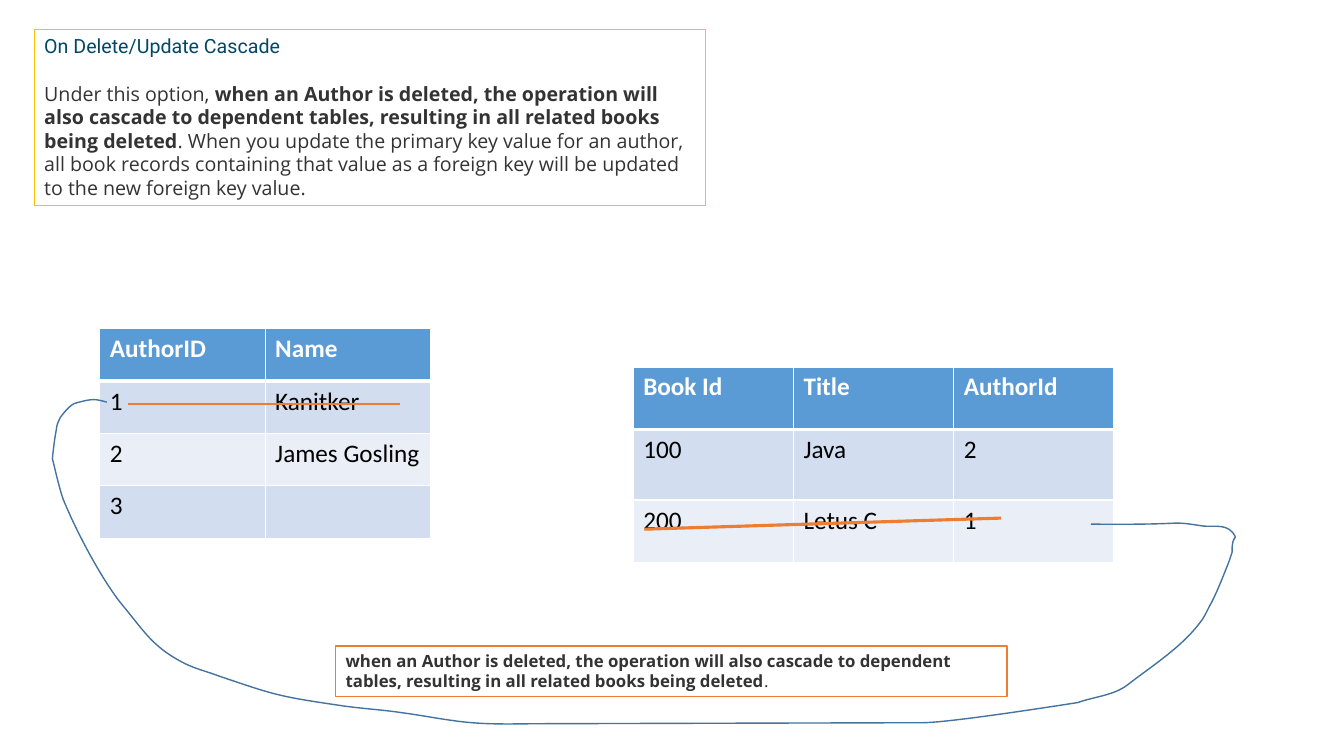
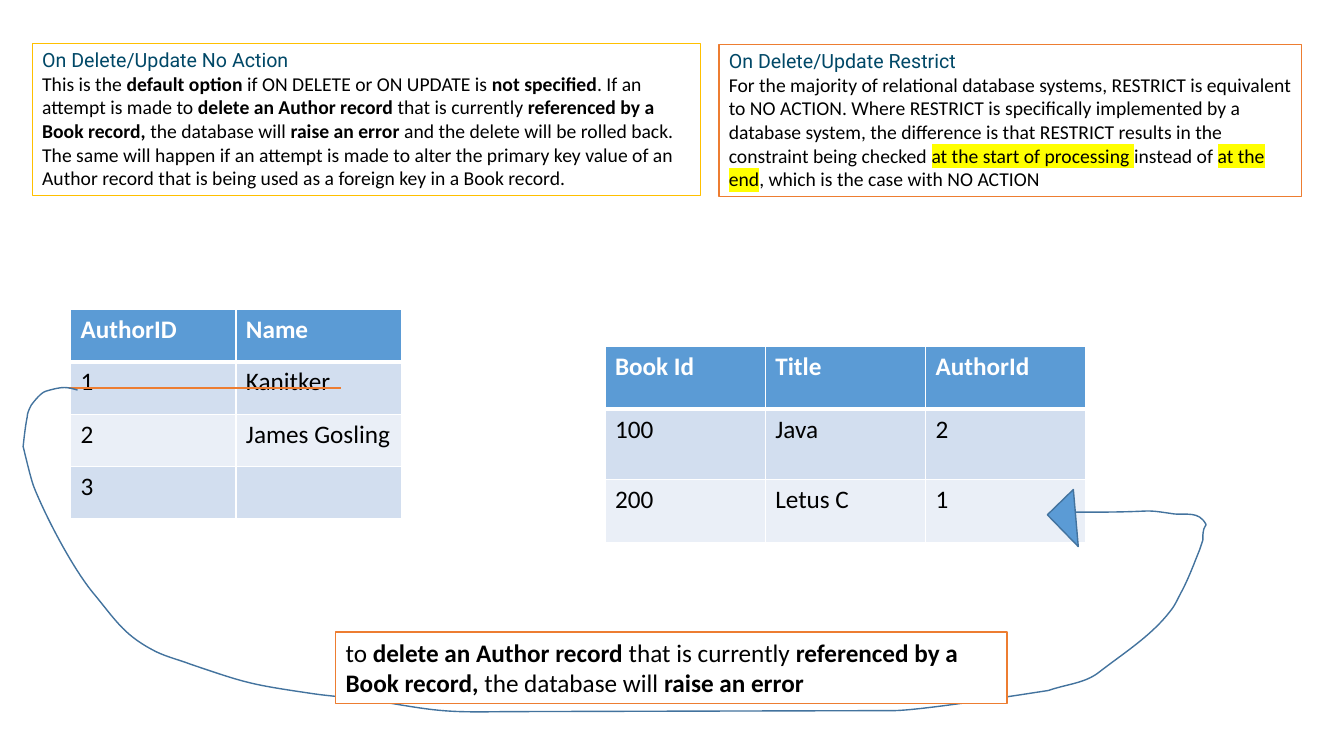
from lxml import etree
from pptx import Presentation
from pptx.dml.color import RGBColor
from pptx.enum.shapes import MSO_CONNECTOR, MSO_SHAPE
from pptx.enum.text import MSO_ANCHOR, MSO_AUTO_SIZE
from pptx.oxml.ns import qn
from pptx.util import Emu, Pt

STRAIGHT = MSO_CONNECTOR.STRAIGHT
TRIANGLE = MSO_SHAPE.RIGHT_TRIANGLE
TOP = MSO_ANCHOR.TOP
GROW = MSO_AUTO_SIZE.SHAPE_TO_FIT_TEXT

PX = 9144
WHITE, BLACK, GOLD, ORANGE = "FFFFFF", "000000", "FFC000", "ED7D31"
BLUE, DARK_BLUE, YELLOW = "5B9BD5", "43739E", "FFFF00"
BANDS = ("D2DEEF", "EAEFF7")

HEADING = {"name": "Roboto", "size": Pt(14), "color": "004867"}
OPEN_SANS = {"name": "Open Sans", "size": Pt(14), "color": "333333"}
OPEN_SANS_SMALL = {**OPEN_SANS, "size": Pt(12)}
CALIBRI = {"name": "Calibri", "size": Pt(14), "color": BLACK}
CALIBRI_LARGE = {**CALIBRI, "size": Pt(18)}
TABLE_HEAD = {**CALIBRI_LARGE, "color": WHITE, "bold": True}
BOLD = {"bold": True}
MARKED = {"highlight": YELLOW}

AUTHORS = (("AuthorID", "Name"), ("1", "Kanitker"), ("2", "James Gosling"), ("3", ""))
BOOKS = (("Book Id", "Title", "AuthorId"), ("100", "Java", "2"), ("200", "Letus C", "1"))

LINK_START = (54, 2)
LINK_CURVES = (
    (43, -1, 40, -2, 23, 3), (18, 4, 11, 13, 8, 17), (6, 21, 4, 25, 4, 29),
    (2, 38, 0, 58, 0, 58), (2, 66, 8, 92, 11, 99), (24, 131, 50, 180, 70, 204),
    (90, 228, 99, 244, 127, 259), (139, 266, 153, 269, 166, 274),
    (222, 293, 225, 294, 286, 303), (306, 306, 326, 307, 346, 310),
    (369, 313, 392, 318, 416, 320), (440, 322, 464, 321, 488, 321),
    (488, 321, 863, 320, 863, 320), (888, 320, 985, 305, 1017, 300),
    (1034, 294, 1053, 293, 1067, 282), (1090, 264, 1119, 246, 1138, 221),
    (1143, 215, 1146, 207, 1150, 200), (1157, 186, 1161, 175, 1167, 160),
    (1168, 157, 1169, 154, 1170, 151), (1170, 147, 1170, 144, 1171, 140),
    (1171, 138, 1174, 136, 1173, 135), (1166, 122, 1154, 126, 1142, 125),
    (1101, 119, 1138, 124, 1030, 123),
)


def px(*values):
    """Turn pixel lengths into EMU."""
    return [Emu(v * PX) for v in values]


def rgb(color):
    """Turn a hex string into a colour."""
    return RGBColor.from_string(color)


def paint(shape, fill, line):
    """Give a shape its fill and a one-point outline."""
    if fill:
        shape.fill.solid()
        shape.fill.fore_color.rgb = rgb(fill)
    else:
        shape.fill.background()
    shape.line.color.rgb = rgb(line)
    shape.line.width = Pt(1)


def add_solid(parent, color):
    """Append a solid fill element."""
    fill = etree.SubElement(parent, qn("a:solidFill"))
    etree.SubElement(fill, qn("a:srgbClr"), val=color)


def add_run(p, text, look):
    """Add a run with the given format."""
    r = p.add_run()
    r.text = text
    for key, value in look.items():
        if key == "color":
            r.font.color.rgb = rgb(value)
        elif key != "highlight":
            setattr(r.font, key, value)
    if "highlight" in look:
        mark = etree.Element(qn("a:highlight"))
        etree.SubElement(mark, qn("a:srgbClr"), val=look["highlight"])
        r.font._element.find(qn("a:solidFill")).addnext(mark)


def text_panel(s, box, border, paragraphs, gap=0):
    """Place an outlined panel; text between asterisks takes the emphasis."""
    panel = s.shapes.add_textbox(*px(*box))
    paint(panel, WHITE, border)
    tf = panel.text_frame
    tf.word_wrap = True
    tf.auto_size = GROW
    tf.vertical_anchor = TOP
    for i, (text, look, emphasis) in enumerate(paragraphs):
        p = tf.add_paragraph() if i else tf.paragraphs[0]
        if i and gap:
            p.space_before = Pt(gap)
        for j, part in enumerate(text.split("*")):
            if part:
                add_run(p, part, {**look, **emphasis} if j % 2 else look)


def style_cell(cell, text, row):
    """Fill, border and label one table cell."""
    cell.fill.solid()
    cell.fill.fore_color.rgb = rgb(BANDS[(row - 1) % 2] if row else BLUE)
    tcPr = cell._tc.get_or_add_tcPr()
    for i, side in enumerate("LRTB"):
        thick = (row == 0 and side == "B") or (row == 1 and side == "T")
        ln = etree.Element(qn(f"a:ln{side}"), w=str(Pt(3 if thick else 1)))
        add_solid(ln, WHITE)
        tcPr.insert(i, ln)
    if text:
        add_run(cell.text_frame.paragraphs[0], text, CALIBRI_LARGE if row else TABLE_HEAD)


def data_table(s, left, top, rows, col_width, heights):
    """Place a table with a blue header and banded rows."""
    cols = len(rows[0])
    frame = s.shapes.add_table(
        len(rows), cols, *px(left, top, col_width * cols, sum(heights)))
    table = frame.table
    for col in table.columns:
        col.width = px(col_width)[0]
    for i, values in enumerate(rows):
        table.rows[i].height = px(heights[i])[0]
        for j, text in enumerate(values):
            style_cell(table.cell(i, j), text, i)


def strike(s, ends, width):
    """Draw an orange line through a deleted row."""
    line = s.shapes.add_connector(STRAIGHT, *px(*ends))
    line.line.color.rgb = rgb(ORANGE)
    line.line.width = Pt(width)
    etree.SubElement(line._element.spPr, qn("a:effectLst"))


def key_link(s, left, top):
    """Draw the curve that links the author key to the book row."""
    points = [c[i:i + 2] for c in LINK_CURVES for i in (0, 2, 4)]
    builder = s.shapes.build_freeform(*LINK_START, scale=PX)
    builder.add_line_segments(points, close=False)
    curve = builder.convert_to_shape(*px(left, top))
    lines = list(curve._element.iter(qn("a:lnTo")))
    for i in range(0, len(lines), 3):
        bezier = etree.Element(qn("a:cubicBezTo"))
        lines[i].addprevious(bezier)
        for line in lines[i:i + 3]:
            bezier.append(line[0])
            line.getparent().remove(line)
    paint(curve, None, DARK_BLUE)
    curve.shadow.inherit = False


def arrow_tip(s, box, angle):
    """Place the triangle that points at the book row."""
    tip = s.shapes.add_shape(TRIANGLE, *px(*box))
    tip.rotation = angle
    paint(tip, BLUE, DARK_BLUE)
    tip.shadow.inherit = False


def key_tables(s, authors, books):
    """Place the author and book tables."""
    data_table(s, *authors, AUTHORS, 164, (52,) * 4)
    data_table(s, *books, BOOKS, 159, (62, 70, 62))


def cascade_slide(s):
    """Build the slide on the cascade option."""
    text_panel(s, (34, 29, 666, 175), GOLD, (
        ("On Delete/Update Cascade", HEADING, {}),
        ("Under this option, *when an Author is deleted, the operation will also "
         "cascade to dependent tables, resulting in all related books being deleted*. "
         "When you update the primary key value for an author, all book records "
         "containing that value as a foreign key will be updated to the new foreign "
         "key value.", OPEN_SANS, BOLD)), gap=17)
    key_tables(s, (99, 326), (628, 364))
    strike(s, (127, 401, 397, 401), 1.5)
    key_link(s, 52, 397)
    strike(s, (639, 525, 993, 514), 2.25)
    text_panel(s, (333, 641, 666, 50), ORANGE, (
        ("*when an Author is deleted, the operation will also cascade to dependent "
         "tables, resulting in all related books being deleted*.",
         OPEN_SANS_SMALL, BOLD),))


def restrict_slide(s):
    """Build the slide on the no action and restrict options."""
    text_panel(s, (713, 44, 578, 151), ORANGE, (
        ("On Delete/Update Restrict", HEADING, {}),
        ("For the majority of relational database systems, RESTRICT is equivalent to "
         "NO ACTION. Where RESTRICT is specifically implemented by a database system, "
         "the difference is that RESTRICT results in the constraint being checked "
         "*at the start of processing *instead of *at the end*, which is the case "
         "with NO ACTION", CALIBRI, MARKED)))
    text_panel(s, (32, 43, 663, 151), GOLD, (
        ("On Delete/Update No Action", HEADING, {}),
        ("This is the *default option *if ON DELETE or ON UPDATE is *not specified*. "
         "If an attempt is made to *delete an Author record *that is currently "
         "*referenced by a Book record, *the database will *raise an error *and the "
         "delete will be rolled back. The same will happen if an attempt is made to "
         "alter the primary key value of an Author record that is being used as a "
         "foreign key in a Book record.", CALIBRI, BOLD)))
    key_tables(s, (70, 307), (600, 344))
    strike(s, (68, 385, 338, 385), 1.5)
    key_link(s, 23, 385)
    arrow_tip(s, (1045, 496, 44, 36), 45.8)
    text_panel(s, (333, 627, 666, 71), ORANGE, (
        ("to *delete an Author record *that is currently *referenced by a Book "
         "record, *the database will *raise an error*", CALIBRI_LARGE, BOLD),))


def main():
    """Build and save the presentation."""
    prs = Presentation()
    prs.slide_width, prs.slide_height = px(1333, 750)
    for build in (cascade_slide, restrict_slide):
        build(prs.slides.add_slide(prs.slide_layouts[6]))
    prs.save("out.pptx")


if __name__ == "__main__":
    main()
